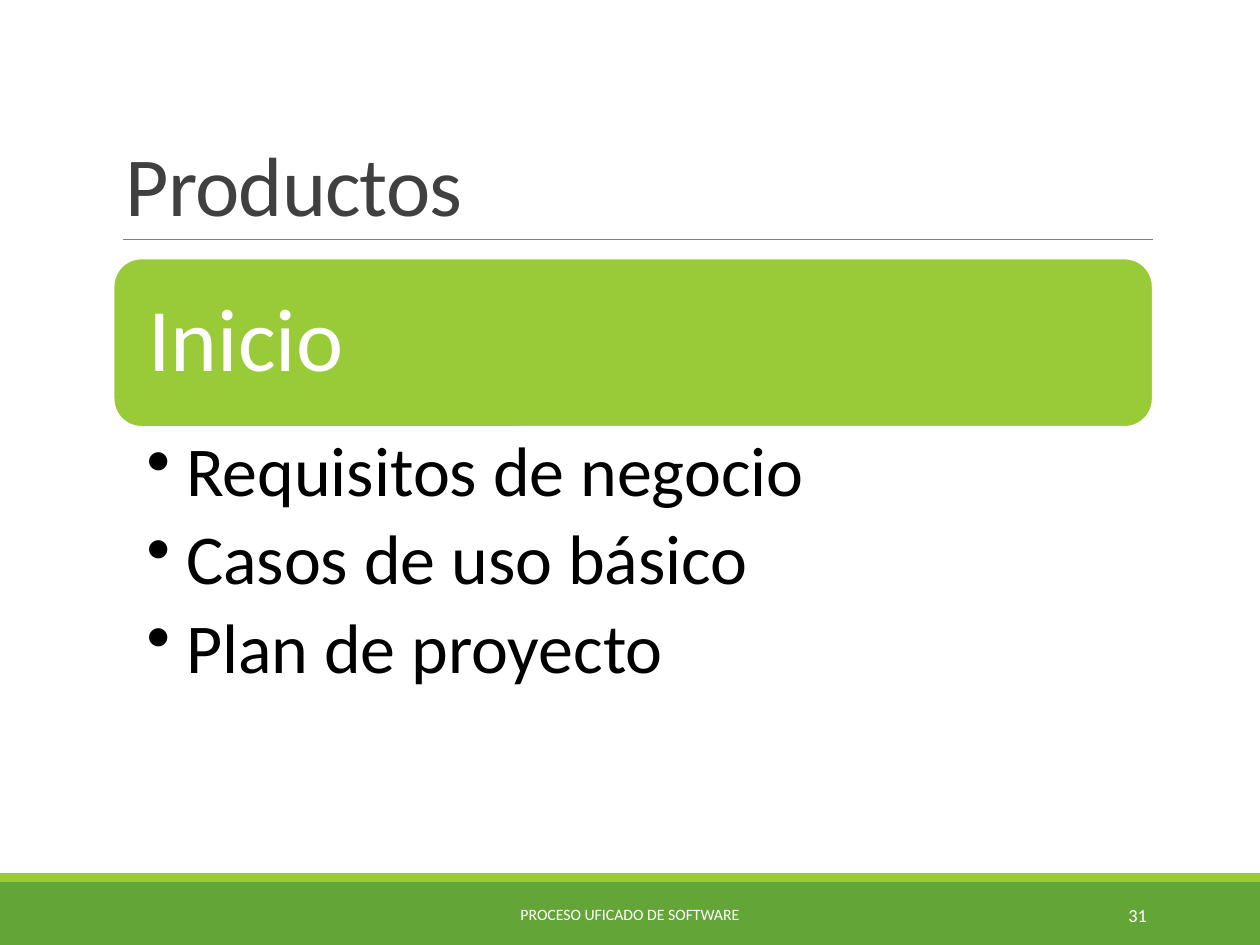
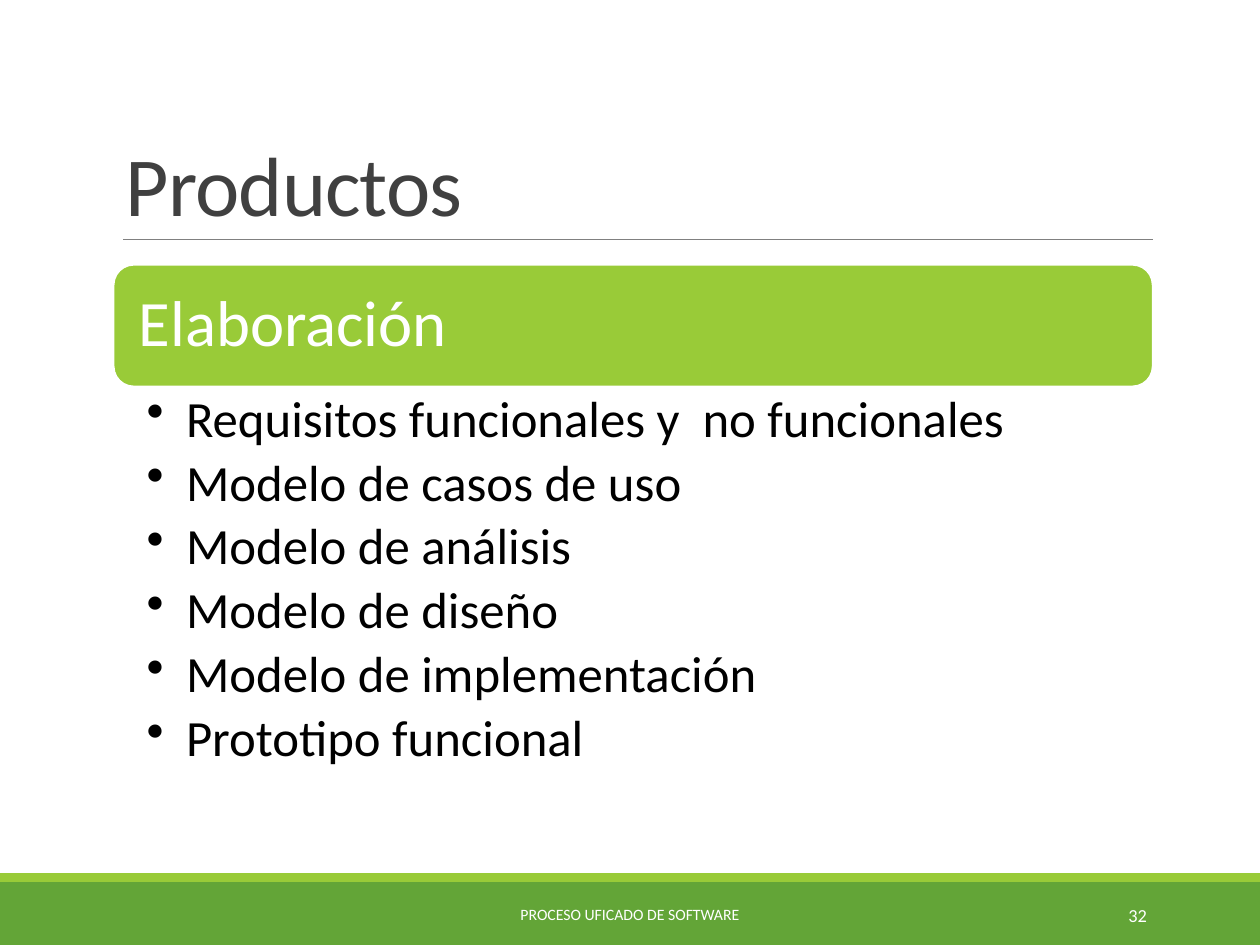
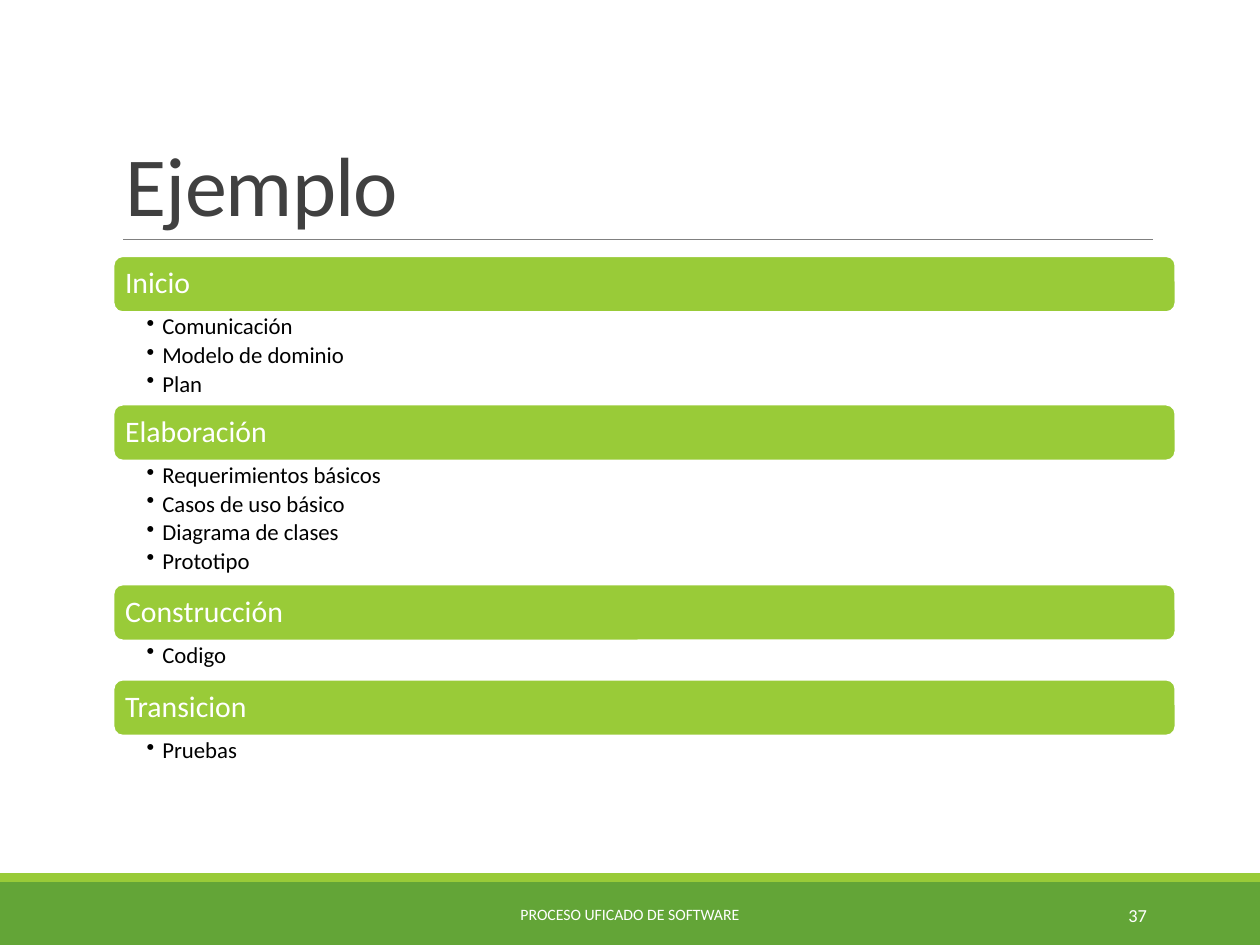
from lxml.etree import SubElement
from pptx import Presentation
from pptx.dml.color import RGBColor
from pptx.enum.shapes import MSO_CONNECTOR, MSO_SHAPE
from pptx.enum.text import MSO_ANCHOR, PP_ALIGN
from pptx.oxml.ns import qn
from pptx.util import Pt

COLORS = {
    "footer": "63A537",
    "accent": "99CB38",
    "rule": "808080",
    "title": "404040",
    "body": "000000",
    "white": "FFFFFF",
}
FONT = "Calibri"
FOOTER = "PROCESO UFICADO DE SOFTWARE"
LEFT = 64.8

# Each section: heading, height of its list, items
SLIDES = [
    {
        "title": "Productos", "number": 31, "top": 147.6, "width": 594,
        "band_height": 96.5, "heading_size": 51, "item_size": 40, "indent": 22.5,
        "sections": [
            ("Inicio", 216,
             ["Requisitos de negocio", "Casos de uso básico", "Plan de proyecto"]),
        ],
    },
    {
        "title": "Productos", "number": 32, "top": 151.2, "width": 594,
        "band_height": 69.8, "heading_size": 37, "item_size": 29, "indent": 22.5,
        "sections": [
            ("Elaboración", 235.4,
             ["Requisitos funcionales y  no funcionales", "Modelo de casos de uso",
              "Modelo de análisis", "Modelo de diseño",
              "Modelo de implementación", "Prototipo funcional"]),
        ],
    },
    {
        "title": "Ejemplo", "number": 37, "top": 146.3, "width": 607,
        "band_height": 32.2, "heading_size": 17, "item_size": 13, "indent": 9,
        "sections": [
            ("Inicio", 52.6, ["Comunicación", "Modelo de dominio", "Plan"]),
            ("Elaboración", 70.6,
             ["Requerimientos básicos", "Casos de uso básico",
              "Diagrama de clases", "Prototipo"]),
            ("Construcción", 22.2, ["Codigo"]),
            ("Transicion", 52.6, ["Pruebas"]),
        ],
    },
]


def add_block(slide, kind, left, top, width, height, color):
    shape = slide.shapes.add_shape(kind, Pt(left), Pt(top), Pt(width), Pt(height))
    shape.shadow.inherit = False
    shape.fill.solid()
    shape.fill.fore_color.rgb = RGBColor.from_string(COLORS[color])
    shape.line.fill.background()
    return shape


def write(shape, lines, size, color, align=PP_ALIGN.LEFT,
          anchor=MSO_ANCHOR.MIDDLE, spacing=1.0):
    text_frame = shape.text_frame
    text_frame.word_wrap = True
    text_frame.vertical_anchor = anchor
    text_frame.text = "\n".join(lines)
    for paragraph in text_frame.paragraphs:
        paragraph.alignment = align
        paragraph.line_spacing = spacing
        font = paragraph.runs[0].font
        font.name = FONT
        font.size = Pt(size)
        font.color.rgb = RGBColor.from_string(COLORS[color])
    return text_frame


presentation = Presentation()
presentation.slide_width = Pt(720)
presentation.slide_height = Pt(540)

for content in SLIDES:
    slide = presentation.slides.add_slide(presentation.slide_layouts[6])

    # Footer bands
    add_block(slide, MSO_SHAPE.RECTANGLE, 0, 504, 720, 36, "footer")
    add_block(slide, MSO_SHAPE.RECTANGLE, 0, 499, 720, 5, "accent")

    # Rule under the title
    rule = slide.shapes.add_connector(
        MSO_CONNECTOR.STRAIGHT, Pt(70.5), Pt(136.8), Pt(658.8), Pt(136.8))
    rule.line.color.rgb = RGBColor.from_string(COLORS["rule"])
    rule.line.width = Pt(0.5)
    SubElement(rule.element.spPr, qn("a:effectLst"))

    # Title
    title = slide.shapes.add_textbox(Pt(LEFT), Pt(22.3), Pt(594), Pt(114.5))
    title_frame = write(title, [content["title"]], 48, "title",
                        anchor=MSO_ANCHOR.BOTTOM, spacing=0.85)
    title_frame.paragraphs[0].runs[0].font._element.set("spc", "-50")

    # Sections: a heading band with its list below
    top = content["top"]
    width = content["width"]
    band_height = content["band_height"]
    heading_size = content["heading_size"]
    item_size = content["item_size"]
    for heading, list_height, items in content["sections"]:
        band = add_block(slide, MSO_SHAPE.ROUNDED_RECTANGLE,
                         LEFT, top, width, band_height, "accent")
        band.line.color.rgb = RGBColor.from_string(COLORS["white"])
        band.line.width = Pt(1.25)
        band_frame = write(band, [heading], heading_size, "white", spacing=0.9)
        band_frame.margin_left = band_frame.margin_right = Pt(heading_size * 0.3)
        band_frame.margin_top = band_frame.margin_bottom = Pt(heading_size * 0.3)
        top += band_height

        item_list = slide.shapes.add_textbox(
            Pt(LEFT), Pt(top), Pt(width), Pt(list_height))
        list_frame = write(item_list, items, item_size, "body",
                           anchor=MSO_ANCHOR.TOP, spacing=0.9)
        list_frame.margin_left = Pt(19)
        list_frame.margin_right = Pt(item_size * 0.71)
        list_frame.margin_top = list_frame.margin_bottom = Pt(item_size * 0.13)
        for paragraph in list_frame.paragraphs:
            paragraph.space_after = Pt(round(item_size * 0.18, 1))
            properties = paragraph._p.get_or_add_pPr()
            properties.set("marL", str(Pt(content["indent"])))
            properties.set("indent", str(-Pt(content["indent"])))
            SubElement(properties, qn("a:buChar"), char="•")
        top += list_height

    # Footer text and slide number
    footer = slide.shapes.add_textbox(Pt(217.4), Pt(508.3), Pt(285.1), Pt(28.8))
    write(footer, [FOOTER], 9, "white", align=PP_ALIGN.CENTER)
    number = slide.shapes.add_textbox(Pt(584.6), Pt(508.3), Pt(77.8), Pt(28.8))
    write(number, [str(content["number"])], 10.5, "white", align=PP_ALIGN.RIGHT)

presentation.save("out.pptx")
